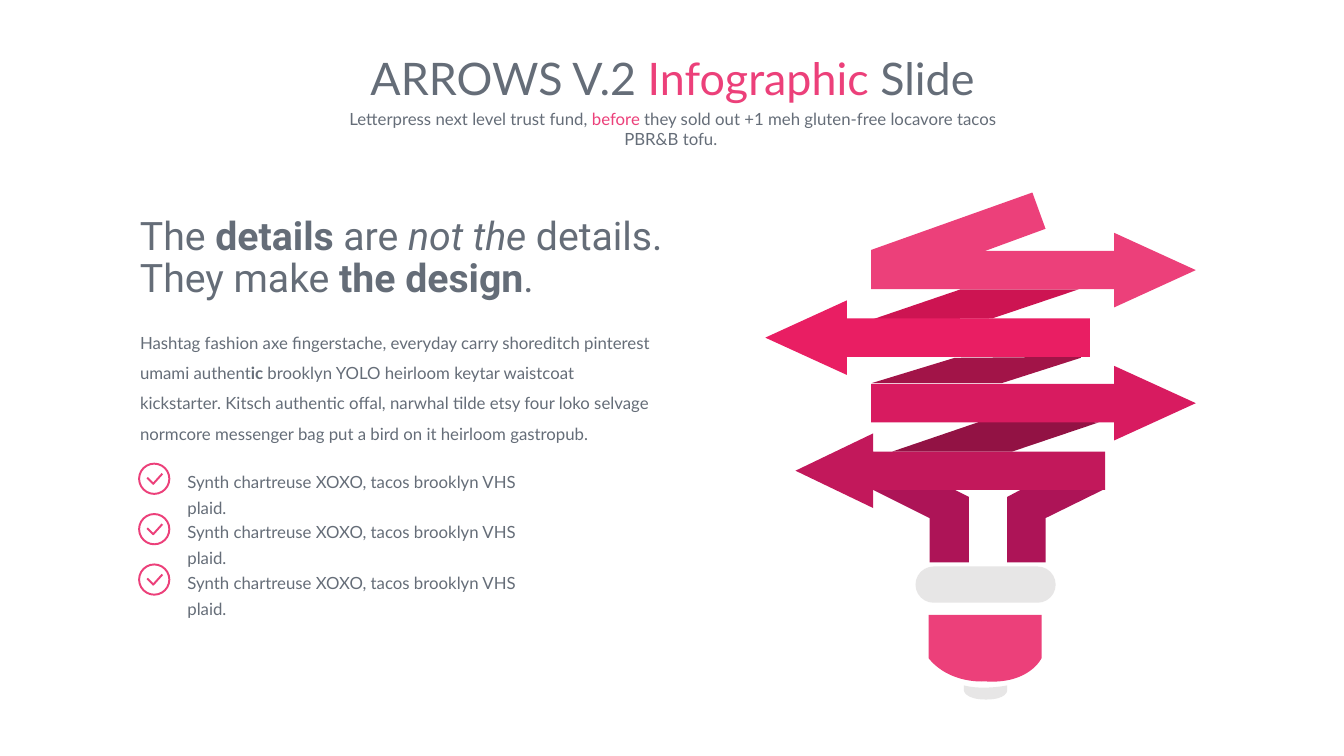
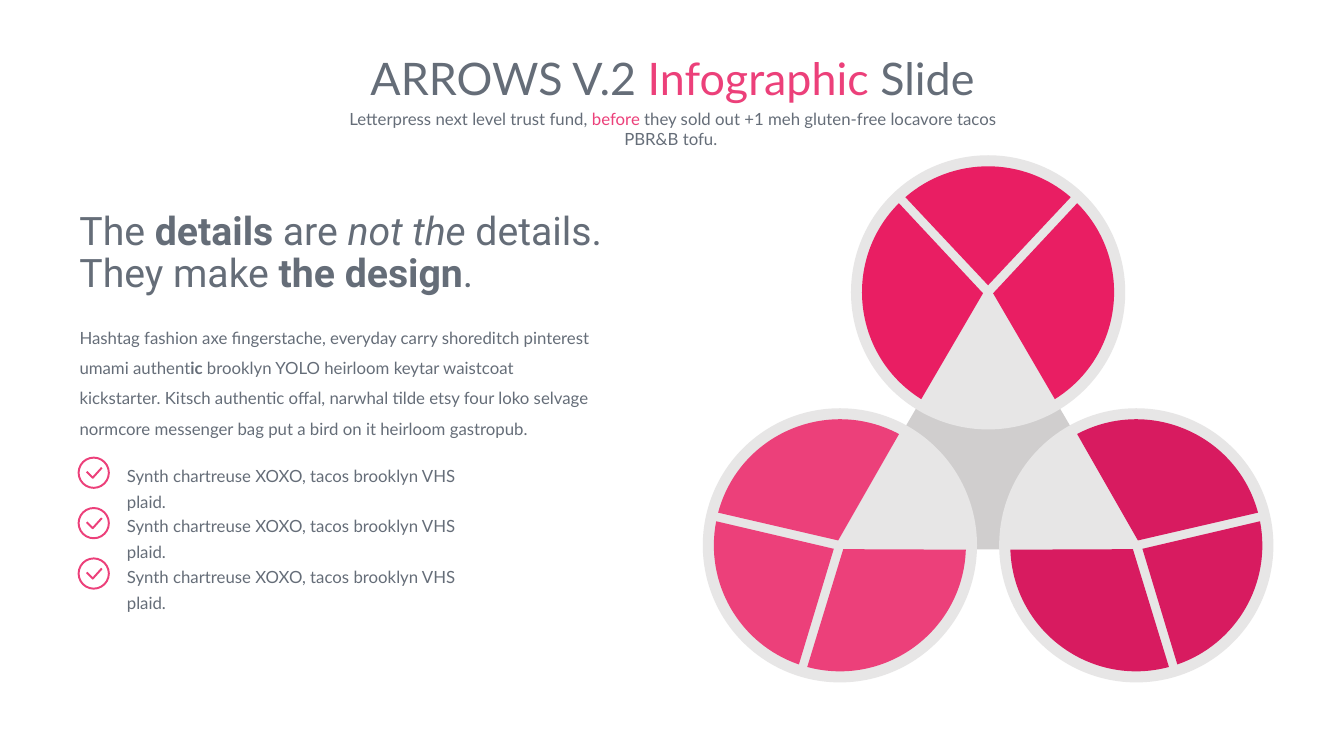
"""Build two light-bulb and trefoil infographic slides."""
from dataclasses import dataclass
from math import cos, radians, sin, tan
from typing import NamedTuple

from pptx import Presentation
from pptx.dml.color import RGBColor
from pptx.enum.shapes import MSO_SHAPE
from pptx.enum.text import PP_ALIGN
from pptx.oxml.ns import qn
from pptx.shapes.autoshape import Shape
from pptx.slide import Slide
from pptx.util import Emu, Pt

ELLIPSE = MSO_SHAPE.OVAL
ROUNDED = MSO_SHAPE.ROUNDED_RECTANGLE
RIGHT_ARROW = MSO_SHAPE.RIGHT_ARROW
LEFT_ARROW = MSO_SHAPE.LEFT_ARROW
LEFT = PP_ALIGN.LEFT
CENTER = PP_ALIGN.CENTER
EMU_PER_PX = 9144
SHAFT_HEIGHT = 38
ITEM_STEP = 50
DISC_RADIUS = 136
SLICE_RADIUS = 125

Point = tuple[float, float]


@dataclass(frozen=True)
class Theme:
    """Colours, fonts and type sizes shared by the slides."""
    text: str = "656D78"
    accent: str = "EC407A"
    bright: str = "E91E63"
    strong: str = "D81B60"
    deep: str = "C2185B"
    neck: str = "AD1457"
    fold_light: str = "CD1452"
    fold_middle: str = "A21448"
    fold_dark: str = "921244"
    pale: str = "E7E6E6"
    gray: str = "D0CECE"
    white: str = "FFFFFF"
    body_font: str = "Lato"
    heading_font: str = "Roboto"
    title_size: int = 32
    heading_size: int = 28
    body_size: int = 12
    line_width: float = 1.38


THEME = Theme()


@dataclass(frozen=True)
class Curve:
    """A cubic segment: two control points and an end."""
    first: Point
    second: Point
    end: Point


class Box(NamedTuple):
    """A rectangle in px."""
    left: int
    top: int
    width: int
    height: int


class Run(NamedTuple):
    """A piece of text with its own emphasis."""
    text: str
    bold: bool = False
    italic: bool = False
    color: str = THEME.text


class Arrow(NamedTuple):
    """A block arrow of the bulb spiral."""
    kind: MSO_SHAPE
    box: Box
    head: int
    color: str


class Outline(NamedTuple):
    """A filled outline."""
    color: str
    segments: list[Point | Curve]


class Hub(NamedTuple):
    """A disc of slices, turned by an angle in degrees."""
    center: Point
    turn: int
    color: str


class Slice(NamedTuple):
    """A slice from its apex offset and its arc in degrees."""
    apex: Point
    start: int
    end: int


TITLE = [Run("ARROWS V.2 "), Run("Infographic ", color=THEME.accent), Run("Slide")]
SUBTITLE = [
    Run("Letterpress next level trust fund, "),
    Run("before", color=THEME.accent),
    Run(" they sold out +1 meh gluten-free locavore tacos PBR&B tofu. "),
]
HEADING = [
    Run("The "), Run("details", bold=True), Run(" are "), Run("not the ", italic=True),
    Run("details. They make "), Run("the design", bold=True), Run("."),
]
BODY = [
    Run("Hashtag fashion axe fingerstache, everyday carry shoreditch pinterest umami authent"),
    Run("ic ", bold=True),
    Run("brooklyn YOLO heirloom keytar waistcoat kickstarter. Kitsch authentic offal, narwhal "
        "tilde etsy four loko selvage normcore messenger bag put a bird on it heirloom gastropub."),
]
ITEMS = ["Synth chartreuse XOXO, tacos brooklyn VHS plaid."] * 3


def px(length: float) -> Emu:
    """Turn px into EMU."""
    return Emu(round(length * EMU_PER_PX))


def style(shape: Shape, *, fill: str | None = None, line: str | None = None) -> None:
    """Set fill and line and drop the shadow."""
    shape.shadow.inherit = False
    if fill:
        shape.fill.solid()
        shape.fill.fore_color.rgb = RGBColor.from_string(fill)
    else:
        shape.fill.background()
    if line:
        shape.line.color.rgb = RGBColor.from_string(line)
        shape.line.width = Pt(THEME.line_width)
    else:
        shape.line.fill.background()


def add_preset(slide: Slide, kind: MSO_SHAPE, box: Box, *, fill: str,
               line: str | None = None) -> Shape:
    """Add a preset shape."""
    shape = slide.shapes.add_shape(kind, *map(px, box))
    style(shape, fill=fill, line=line)
    return shape


def add_outline(slide: Slide, segments: list[Point | Curve], *, fill: str | None = None,
                line: str | None = None) -> None:
    """Add a freeform of lines and cubic curves, closed when it is filled."""
    points = []
    for segment in segments:
        is_curve = isinstance(segment, Curve)
        points += [segment.first, segment.second, segment.end] if is_curve else [segment]
    start, *rest = [(px(x), px(y)) for x, y in points]
    builder = slide.shapes.build_freeform(*start)
    builder.add_line_segments(rest, close=fill is not None)
    shape = builder.convert_to_shape()
    lines = iter(list(shape.element.iter(qn("a:lnTo"))))
    for segment in segments[1:]:
        first = next(lines)
        if isinstance(segment, Curve):
            cubic = first.makeelement(qn("a:cubicBezTo"))
            first.addprevious(cubic)
            for straight in (first, next(lines), next(lines)):
                cubic.append(straight[0])
                straight.getparent().remove(straight)
    style(shape, fill=fill, line=line)


def add_text(slide: Slide, box: Box, runs: list[Run], *, size: int = THEME.body_size,
             font: str = THEME.body_font, alignment: PP_ALIGN = LEFT,
             line_spacing: float = 1.0) -> None:
    """Add a wrapped text box with one paragraph."""
    frame = slide.shapes.add_textbox(*map(px, box)).text_frame
    frame.word_wrap = True
    paragraph = frame.paragraphs[0]
    paragraph.alignment = alignment
    paragraph.line_spacing = line_spacing
    for item in runs:
        run = paragraph.add_run()
        run.text = item.text
        run.font.name = font
        run.font.size = Pt(size)
        run.font.bold = item.bold
        run.font.italic = item.italic
        run.font.color.rgb = RGBColor.from_string(item.color)


def add_check_item(slide: Slide, left: int, top: int, text: str) -> None:
    """Add a ringed tick and its text."""
    add_preset(slide, ELLIPSE, Box(left, top, 30, 30), fill=THEME.white, line=THEME.accent)
    tick = [(left + 8, top + 14), (left + 14, top + 20), (left + 23, top + 10)]
    add_outline(slide, tick, line=THEME.accent)
    add_text(slide, Box(left + 38, top - 3, 355, 34), [Run(text)], line_spacing=1.3)


def add_frame(slide: Slide, left: int, top: int, list_top: int) -> None:
    """Add the title and the text column that both slides share."""
    add_text(slide, Box(254, 45, 826, 64), TITLE, size=THEME.title_size, alignment=CENTER)
    add_text(slide, Box(320, 103, 695, 30), SUBTITLE, alignment=CENTER)
    add_text(slide, Box(left, top, 546, 95), HEADING, size=THEME.heading_size,
             font=THEME.heading_font, line_spacing=0.9)
    add_text(slide, Box(left, top + 105, 532, 131), BODY, line_spacing=1.5)
    for index, text in enumerate(ITEMS):
        add_check_item(slide, left + 9, list_top + index * ITEM_STEP, text)


def add_bulb(slide: Slide) -> None:
    """Draw the light bulb made of arrows."""
    outlines = [
        Outline(THEME.accent, [(1024, 191), (1037, 227), (977, 249), (864, 249), (864, 248)]),
        Outline(THEME.fold_light, [(1070, 287), (984, 316), (865, 317), (953, 287)]),
        Outline(THEME.fold_middle, [(1072, 354), (1072, 355), (994, 380), (865, 380), (947, 355)]),
        Outline(THEME.fold_dark, [(885, 448), (973, 418), (1090, 419), (1004, 448)]),
        Outline(THEME.neck, [(1096, 485), (1037, 514), (1037, 558), (999, 558), (999, 493),
                             (1016, 484)]),
        Outline(THEME.neck, [(961, 493), (961, 558), (922, 558), (922, 514), (864, 485),
                             (943, 484)]),
        Outline(THEME.accent, [(921, 610), (1033, 610), (1033, 653),
                               Curve((1033, 653), (1021, 679), (977, 676)),
                               Curve((977, 676), (942, 679), (921, 653))]),
        Outline(THEME.pale, [(999, 680), (999, 685),
                             Curve((999, 685), (999, 694), (978, 694)),
                             Curve((957, 694), (956, 685), (956, 685)), (956, 680),
                             Curve((975, 685), (999, 680), (999, 680))]),
    ]
    arrows = [
        Arrow(RIGHT_ARROW, Box(864, 231, 322, 74), 81, THEME.accent),
        Arrow(LEFT_ARROW, Box(759, 298, 322, 74), 81, THEME.bright),
        Arrow(RIGHT_ARROW, Box(864, 363, 322, 74), 81, THEME.strong),
        Arrow(LEFT_ARROW, Box(789, 430, 307, 74), 77, THEME.deep),
    ]
    for outline in outlines:
        add_outline(slide, outline.segments, fill=outline.color)
    for arrow in arrows:
        shape = add_preset(slide, arrow.kind, arrow.box, fill=arrow.color)
        shape.adjustments[0] = SHAFT_HEIGHT / arrow.box.height
        shape.adjustments[1] = arrow.head / arrow.box.height
    collar = add_preset(slide, ROUNDED, Box(908, 562, 139, 36), fill=THEME.pale)
    collar.adjustments[0] = 0.5


def turned(center: Point, offset: Point, degrees: float) -> Point:
    """Turn an offset about a center."""
    (x, y), angle = offset, radians(degrees)
    return (center[0] + x * cos(angle) - y * sin(angle),
            center[1] + x * sin(angle) + y * cos(angle))


def add_slice(slide: Slide, hub: Hub, part: Slice) -> None:
    """Draw one slice of a hub with a single curve."""
    reach = SLICE_RADIUS * 4 / 3 * tan(radians(part.end - part.start) / 4)
    start, end = part.start + hub.turn, part.end + hub.turn
    arc = Curve(turned(hub.center, (SLICE_RADIUS, reach), start),
                turned(hub.center, (SLICE_RADIUS, -reach), end),
                turned(hub.center, (SLICE_RADIUS, 0), end))
    apex = turned(hub.center, part.apex, hub.turn)
    add_outline(slide, [turned(hub.center, (SLICE_RADIUS, 0), start), arc, apex], fill=hub.color)


def add_trefoil(slide: Slide) -> None:
    """Draw three sliced discs around a triangle."""
    hubs = [
        Hub((980, 290), 0, THEME.bright),
        Hub((833, 541), -120, THEME.accent),
        Hub((1127, 541), 120, THEME.strong),
    ]
    slices = [Slice((5, 1), -45, 58), Slice((-5, 1), 122, 225), Slice((0, -7), -131, -49)]
    add_outline(slide, [(980, 283), (1133, 545), (827, 545)], fill=THEME.gray)
    for hub in hubs:
        x, y = hub.center
        disc = Box(x - DISC_RADIUS, y - DISC_RADIUS, 2 * DISC_RADIUS, 2 * DISC_RADIUS)
        add_preset(slide, ELLIPSE, disc, fill=THEME.pale)
        for part in slices:
            add_slice(slide, hub, part)


def main() -> None:
    """Build and save the presentation."""
    presentation = Presentation()
    presentation.slide_width = px(1333)
    presentation.slide_height = px(750)
    blank = presentation.slide_layouts[6]
    for left, top, list_top, draw in ((129, 210, 460, add_bulb), (69, 205, 454, add_trefoil)):
        slide = presentation.slides.add_slide(blank)
        add_frame(slide, left, top, list_top)
        draw(slide)
    presentation.save("out.pptx")


if __name__ == "__main__":
    main()
